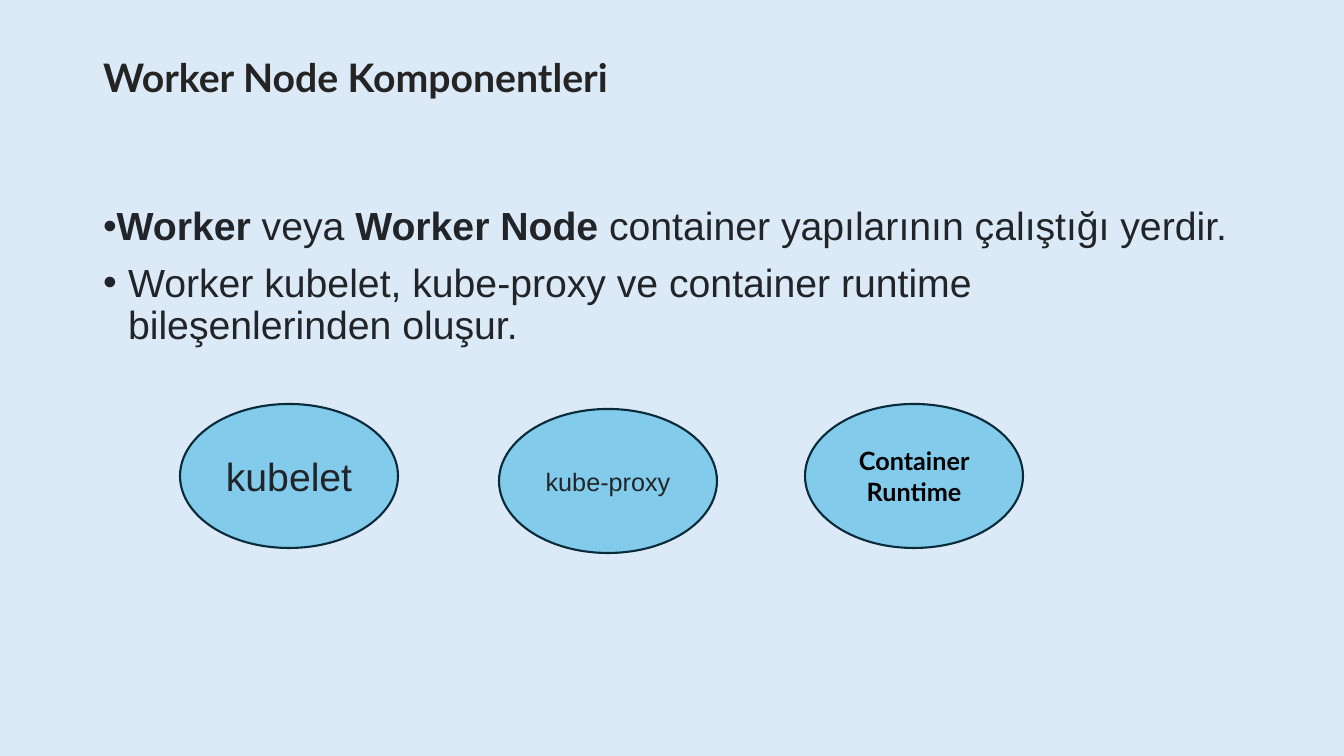
import pptx
import pptx.util
import pptx.dml.color
import pptx.enum.shapes
import pptx.enum.text
import pptx.oxml
import pptx.oxml.ns

THEME = {
    "background": "DCEAF7", "title": "242424", "text": "212529", "black": "000000",
    "node_fill": "83CBEB", "node_line": "092A39",
    "heading_font": "Lato", "body_font": "Arial",
    "large": 28, "small": 18,
}
ALIGN = pptx.enum.text.PP_ALIGN
ANCHOR = pptx.enum.text.MSO_ANCHOR


def px(length):
    return pptx.util.Emu(round(length * 914400 / 100.8))


def write(paragraph, text, font="body_font", size="large", color="text", bold=False,
          align=ALIGN.LEFT, line_spacing=1.0, space_before=0):
    paragraph.alignment = align
    paragraph.line_spacing = line_spacing
    paragraph.space_before = pptx.util.Pt(space_before)
    run = paragraph.add_run()
    run.text = text
    run.font.name = THEME[font]
    run.font.size = pptx.util.Pt(THEME[size])
    run.font.bold = bold
    run.font.color.rgb = pptx.dml.color.RGBColor.from_string(THEME[color])


presentation = pptx.Presentation()
presentation.slide_width, presentation.slide_height = px(1344), px(756)
slide = presentation.slides.add_slide(presentation.slide_layouts[1])
slide.background.fill.solid()
slide.background.fill.fore_color.rgb = pptx.dml.color.RGBColor.from_string(THEME["background"])

# Title and body placeholders
title, body = slide.shapes.title, slide.placeholders[1]
for placeholder, top, height in ((title, 40, 146), (body, 202, 480)):
    placeholder.left, placeholder.top = px(93), px(top)
    placeholder.width, placeholder.height = px(1159), px(height)
    placeholder.text_frame.word_wrap = True
    placeholder.text_frame.auto_size = pptx.enum.text.MSO_AUTO_SIZE.NONE
    placeholder.text_frame.vertical_anchor = ANCHOR.TOP

title.text_frame.margin_top = px(19)
write(title.text_frame.paragraphs[0], "Worker Node Komponentleri", font="heading_font",
      color="title", bold=True, line_spacing=0.9)

# Bulleted list: hanging indent, space before, runs with their weight
bullets = (
    (0, 0, (("Worker", True), (" veya ", False), ("Worker Node ", True),
            ("container yapılarının çalıştığı yerdir.", False))),
    (25, 10, (("Worker kubelet, kube-proxy ve container runtime bileşenlerinden oluşur.", False),)),
)
for index, (indent, space_before, runs) in enumerate(bullets):
    paragraph = body.text_frame.add_paragraph() if index else body.text_frame.paragraphs[0]
    properties = paragraph._p.get_or_add_pPr()
    properties.set("marL", str(px(indent)))
    properties.set("indent", str(-px(indent)))
    properties.append(pptx.oxml.parse_xml(
        f'<a:buChar {pptx.oxml.ns.nsdecls("a")} char="•"/>'))
    for text, bold in runs:
        write(paragraph, text, bold=bold, line_spacing=0.9, space_before=space_before)

# Worker components
components = (
    (180, 404, "kubelet", {}),
    (499, 409, "kube-proxy", {"size": "small"}),
    (805, 404, "Container Runtime",
     {"size": "small", "font": "heading_font", "color": "black", "bold": True}),
)
for left, top, label, text_format in components:
    ellipse = slide.shapes.add_shape(pptx.enum.shapes.MSO_SHAPE.OVAL,
                                     px(left), px(top), px(218), px(144))
    ellipse.shadow.inherit = False
    ellipse.fill.solid()
    ellipse.fill.fore_color.rgb = pptx.dml.color.RGBColor.from_string(THEME["node_fill"])
    ellipse.line.color.rgb = pptx.dml.color.RGBColor.from_string(THEME["node_line"])
    ellipse.line.width = pptx.util.Pt(1.5)
    ellipse.text_frame.word_wrap = True
    ellipse.text_frame.vertical_anchor = ANCHOR.MIDDLE
    write(ellipse.text_frame.paragraphs[0], label, align=ALIGN.CENTER, **text_format)

presentation.save("out.pptx")
